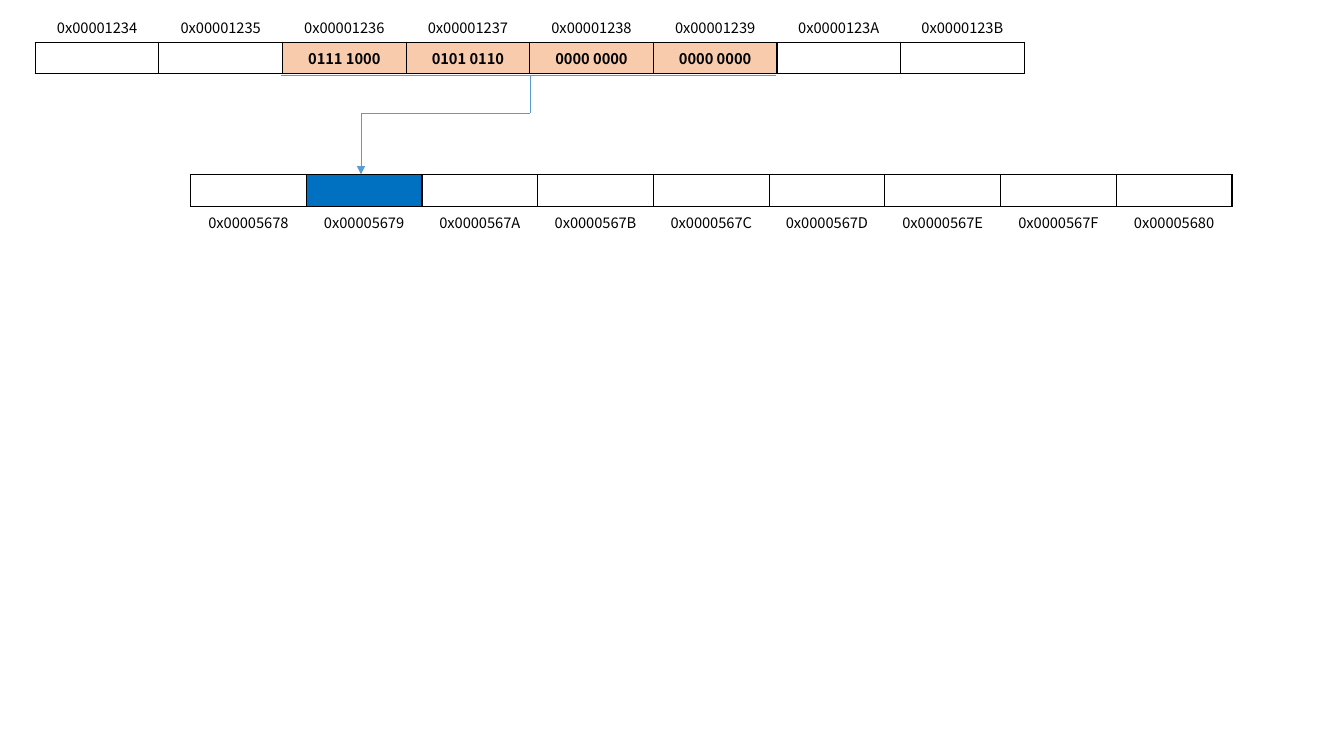
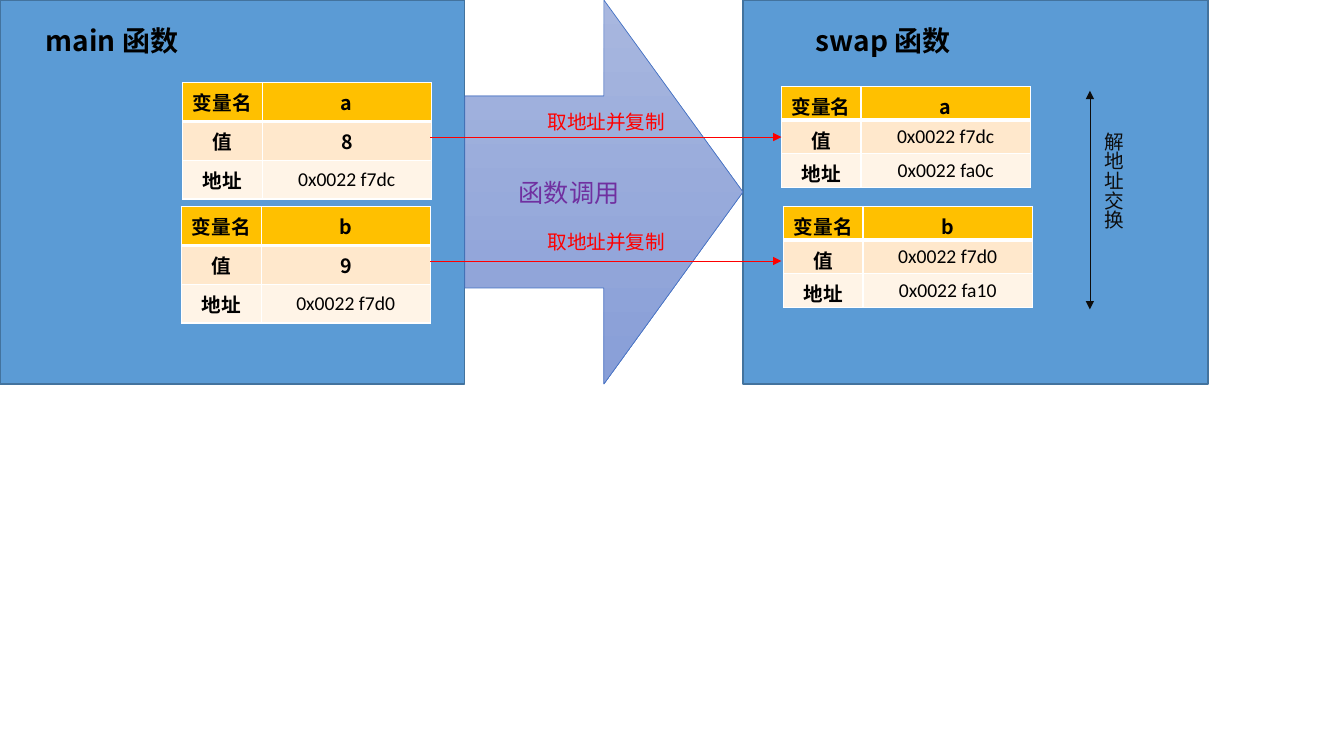
"""Build two slides on memory addresses and pointer passing."""
from dataclasses import dataclass
from itertools import pairwise

from lxml import etree
from pptx import Presentation
from pptx.dml.color import RGBColor
from pptx.enum.shapes import MSO_CONNECTOR, MSO_SHAPE
from pptx.enum.text import MSO_ANCHOR, PP_ALIGN
from pptx.oxml.ns import qn
from pptx.util import Inches, Pt

STRAIGHT = MSO_CONNECTOR.STRAIGHT
RECTANGLE, RIGHT_ARROW = MSO_SHAPE.RECTANGLE, MSO_SHAPE.RIGHT_ARROW
CENTER, LEFT = PP_ALIGN.CENTER, PP_ALIGN.LEFT
MIDDLE = MSO_ANCHOR.MIDDLE
NO_STYLE = "{2D5ABB26-0587-4C30-8999-92F81FD0307C}"
BLANK_LAYOUT = 6


@dataclass(frozen=True)
class Theme:
    """Colours, fonts and type sizes of both slides."""
    black: str = "000000"
    ink: str = "0D0D0D"
    white: str = "FFFFFF"
    blue: str = "5B9BD5"
    blue_edge: str = "43739E"
    arrow_edge: str = "4472C4"
    arrow_top: str = "A8B7DF"
    arrow_bottom: str = "889ED7"
    purple: str = "7030A0"
    red: str = "FF0000"
    value_byte: str = "F8CBAD"
    pointer_byte: str = "0070C0"
    header: str = "FFC000"
    bands: tuple = ("FFE8CC", "FFF4E7")
    cjk: str = "Noto Sans CJK SC"
    latin: str = "Calibri"
    address: float = 10.5
    body: float = 14
    call: float = 18
    heading: float = 20


THEME = Theme()


def rgb(code):
    """Turn a hex code into a colour."""
    return RGBColor.from_string(code)


def write(frame, text, size, color=THEME.black, bold=False, font=THEME.cjk, align=CENTER):
    """Write one formatted paragraph into a text frame."""
    paragraph = frame.paragraphs[0]
    paragraph.text = text
    paragraph.alignment = align
    paragraph.font.size = Pt(size)
    paragraph.font.bold = bold
    paragraph.font.name = font
    paragraph.font.color.rgb = rgb(color)
    defaults = paragraph._p.pPr.find(qn("a:defRPr"))
    defaults.find(qn("a:latin")).addnext(
        etree.Element(qn("a:ea"), typeface=THEME.cjk))


def border(cell, color, **widths):
    """Draw the cell edges L, R, T and B that are given a width in points."""
    properties = cell._tc.get_or_add_tcPr()
    for side in "LRTB":
        if side in widths:
            edge = etree.SubElement(properties, qn(f"a:ln{side}"), w=str(Pt(widths[side])))
            solid = etree.SubElement(edge, qn("a:solidFill"))
            etree.SubElement(solid, qn("a:srgbClr"), val=color)


def paint(cell, color=None):
    """Fill a cell, or leave it clear."""
    if color:
        cell.fill.solid()
        cell.fill.fore_color.rgb = rgb(color)
    else:
        cell.fill.background()


def plain_table(slide, left, top, widths, heights):
    """Add an unstyled table with the given column widths and row heights."""
    table = slide.shapes.add_table(
        len(heights), len(widths), Inches(left), Inches(top),
        Inches(sum(widths)), Inches(sum(heights))).table
    table.first_row = table.horz_banding = False
    table._tbl.tblPr.find(qn("a:tableStyleId")).text = NO_STYLE
    for column, width in zip(table.columns, widths):
        column.width = Inches(width)
    for row, height in zip(table.rows, heights):
        row.height = Inches(height)
    return table


def memory_strip(slide, left, top, width, first, count, fills, contents, labels_above):
    """Add a row of memory bytes with their addresses above or below."""
    heights = [0.31, 0.31] if labels_above else [0.32, 0.31]
    label_row, byte_row = (0, 1) if labels_above else (1, 0)
    table = plain_table(slide, left, top, [width / count] * count, heights)
    for index in range(count):
        label, byte = table.cell(label_row, index), table.cell(byte_row, index)
        write(label.text_frame, f"0x{first + index:08X}", THEME.address)
        border(label, THEME.black, **{"B" if labels_above else "T": 1})
        paint(label)
        border(byte, THEME.black, L=1, R=1, T=1, B=1)
        paint(byte, fills.get(index))
        write(byte.text_frame, contents.get(index, ""), THEME.address, bold=True)
        if index not in contents:
            byte.margin_top = byte.margin_bottom = 0


def variable_table(slide, left, top, row_height, name, value, address, label_bottom):
    """Add the name, value and address of a variable."""
    rows = [("变量名", name), ("值", value), ("地址", address)]
    table = plain_table(slide, left, top, [0.79, 1.68], [row_height] * len(rows))
    for row, (texts, fill) in enumerate(zip(rows, (THEME.header, *THEME.bands))):
        for column, text in enumerate(texts):
            cell = table.cell(row, column)
            is_address = text.startswith("0x")
            write(cell.text_frame, text, THEME.body, bold=not is_address,
                  font=THEME.latin if is_address else THEME.cjk)
            cell.vertical_anchor = MIDDLE
            cell.margin_top = Inches(0.04 if is_address else 0.05)
            cell.margin_bottom = Inches(0.04 if is_address else label_bottom)
            border(cell, THEME.white, L=1, R=1, T=3 if row == 1 else 1, B=1 if row else 3)
            paint(cell, fill)


def line(slide, start, end, color, head=False, tail=False):
    """Add a thin line with optional arrowheads."""
    connector = slide.shapes.add_connector(
        STRAIGHT, *(Inches(length) for length in (*start, *end)))
    connector.line.color.rgb = rgb(color)
    connector.line.width = Pt(0.5)
    properties = connector._element.spPr
    for wanted, tag in ((head, "a:headEnd"), (tail, "a:tailEnd")):
        if wanted:
            etree.SubElement(properties.find(qn("a:ln")), qn(tag), type="triangle")
    etree.SubElement(properties, qn("a:effectLst"))


def block(slide, kind, left, width, height, edge, edge_width):
    """Add an outlined shape at the top of the slide."""
    shape = slide.shapes.add_shape(
        kind, Inches(left), 0, Inches(width), Inches(height))
    shape.shadow.inherit = False
    shape.line.color.rgb = rgb(edge)
    shape.line.width = Pt(edge_width)
    return shape


def caption(slide, left, top, width, height, text, size, vertical=False, **style):
    """Add a free caption, optionally set vertically."""
    frame = slide.shapes.add_textbox(
        *(Inches(length) for length in (left, top, width, height))).text_frame
    frame.word_wrap = True
    if vertical:
        frame._txBody.bodyPr.set("vert", "eaVert")
        frame.margin_top = Inches(0.1)
        frame.margin_right = Inches(0.05)
    write(frame, text, size, **style)


def memory_slide(slide):
    """Show a pointer byte strip and the integer it refers to."""
    value_bytes = {2: "0111 1000", 3: "0101 0110", 4: "0000 0000", 5: "0000 0000"}
    memory_strip(slide, 0.35, 0.11, 9.81, 0x1234, 8,
                 dict.fromkeys(value_bytes, THEME.value_byte), value_bytes, True)
    memory_strip(slide, 1.89, 1.73, 10.33, 0x5678, 9,
                 {1: THEME.pointer_byte}, {}, False)
    line(slide, (2.79, 0.75), (7.7, 0.75), THEME.blue)
    route = [(5.26, 0.75), (5.26, 1.12), (3.58, 1.12), (3.58, 1.73)]
    for start, end in pairwise(route):
        line(slide, start, end, THEME.blue, tail=end == route[-1])


def swap_slide(slide):
    """Show addresses passed from main to swap."""
    panel_width, call_width, height = 4.61, 2.76, 3.81
    swap_left = panel_width + call_width
    for left in (0, swap_left):
        panel = block(slide, RECTANGLE, left, panel_width, height, THEME.blue_edge, 1)
        panel.fill.solid()
        panel.fill.fore_color.rgb = rgb(THEME.blue)

    call = block(slide, RIGHT_ARROW, panel_width, call_width, height, THEME.arrow_edge, 0.5)
    call.fill.gradient()
    call.fill.gradient_angle = 270
    for stop, color in zip(call.fill.gradient_stops, (THEME.arrow_top, THEME.arrow_bottom)):
        stop.color.rgb = rgb(color)
    call.text_frame.vertical_anchor = MIDDLE
    write(call.text_frame, "函数调用", THEME.call, THEME.purple, font=THEME.latin)

    for left, text in ((0.19, "main 函数"), (7.84, "swap 函数")):
        caption(slide, left, 0.18, 1.84, 0.44, text, THEME.heading, bold=True)

    main_row, swap_row = 0.385, 0.333
    for left, top, row_height, *variable, label_bottom in (
            (1.81, 0.82, main_row, "a", "8", "0x0022 f7dc", 0.05),
            (1.8, 2.05, main_row, "b", "9", "0x0022 f7d0", 0.05),
            (7.75, 0.86, swap_row, "a", "0x0022 f7dc", "0x0022 fa0c", 0),
            (7.77, 2.05, swap_row, "b", "0x0022 f7d0", "0x0022 fa10", 0)):
        variable_table(slide, left, top, row_height, *variable, label_bottom)

    for line_top, label_top in ((1.36, 1.04), (2.59, 2.23)):
        line(slide, (4.27, line_top), (7.75, line_top), THEME.red, tail=True)
        caption(slide, 5.15, label_top, 1.73, 0.34, "取地址并复制", THEME.body, color=THEME.red)

    line(slide, (10.81, 0.9), (10.81, 3.07), THEME.ink, head=True, tail=True)
    caption(slide, 10.77, 1.21, 0.44, 1.39, "解地址交换", THEME.body,
            vertical=True, color=THEME.ink, align=LEFT)


def main():
    """Build and save the presentation."""
    presentation = Presentation()
    presentation.slide_width, presentation.slide_height = Inches(13.33), Inches(7.5)
    for build in (memory_slide, swap_slide):
        build(presentation.slides.add_slide(presentation.slide_layouts[BLANK_LAYOUT]))
    presentation.save("out.pptx")


main()
